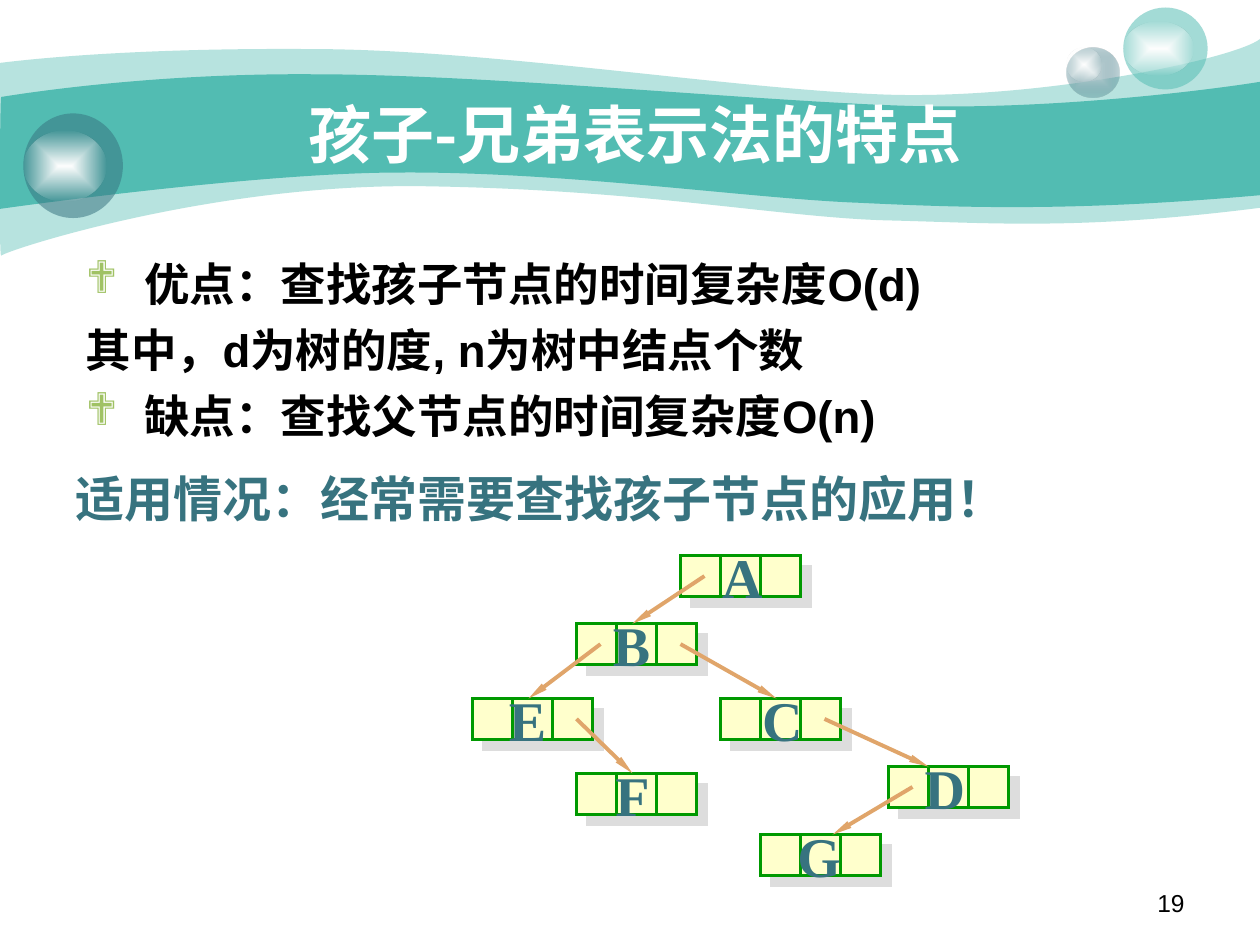
import pptx
import pptx.util
import pptx.dml.color
import pptx.enum.shapes
import pptx.enum.text
import pptx.oxml
import pptx.oxml.ns
import lxml.etree

RGBColor = pptx.dml.color.RGBColor
ALIGN = pptx.enum.text.PP_ALIGN
ANCHOR = pptx.enum.text.MSO_ANCHOR
SHAPE = pptx.enum.shapes.MSO_SHAPE
qn = pptx.oxml.ns.qn

TEAL = RGBColor(0x52, 0xBC, 0xB2)
SLATE = RGBColor(0x37, 0x73, 0x7F)
MIST = RGBColor(0xCC, 0xDB, 0xDE)
WHITE = RGBColor(0xFF, 0xFF, 0xFF)
BLACK = RGBColor(0, 0, 0)
LEAF = RGBColor(0xA0, 0xC2, 0x64)
CREAM = RGBColor(0xFF, 0xFF, 0xCC)
GREEN = RGBColor(0, 0x99, 0)
ORANGE = RGBColor(0xE0, 0xA5, 0x6A)
SHADE = RGBColor(0xDD, 0xDD, 0xDD)

WIDTH, HEIGHT = pptx.util.Inches(10), pptx.util.Inches(7.5)
CJK = "Noto Sans CJK SC"

# Tree grid: origin and size of one step
TREE_LEFT, TREE_TOP = pptx.util.Inches(3.75), pptx.util.Inches(4.41)
COLUMN, ROW = WIDTH * 0.00635, HEIGHT * 0.0072
CELL, NODE_ROWS = 5, 6
# Letter: column, row, column of the letter's centre within the node
NODES = {"A": (26, 0, 7.6), "B": (13, 10, 6.9), "E": (0, 21, 6.9),
         "C": (31, 21, 7.6), "D": (52, 31, 6.9), "F": (13, 32, 7),
         "G": (36, 41, 7)}
CHILD, SIBLING = 3, 13
# Parent, column the arrow leaves from, target, column it reaches
LINKS = [("A", CHILD, "B", 7), ("B", CHILD, "E", 7), ("D", CHILD, "G", 9),
         ("E", SIBLING, "F", 7), ("B", SIBLING, "C", 7), ("C", SIBLING, "D", 5)]

# Start point, then Bezier segments; a lone point is a straight edge.
# Unit: a thousandth of the slide's width.
PALE_WAVE = [(0, 50), (24, 47, 107, 38, 247, 39), (386, 39, 575, 70, 699, 75),
             (822, 80, 980, 47, 1000, 31), (1000, 165),
             (858, 183, 787, 177, 705, 175), (622, 173, 515, 151, 343, 148),
             (172, 144, 4, 199, 1, 203), (-1, 208, 0, 75, 0, 50)]
TEAL_WAVE = [(1, 77), (2, 77, 110, 58, 248, 59), (386, 59, 595, 80, 718, 84),
             (841, 88, 976, 69, 1000, 65), (1000, 155),
             (853, 168, 765, 165, 682, 161), (599, 158, 447, 136, 317, 137),
             (203, 137, -2, 166, -1, 166), (0, 166, 0, 77, 1, 77)]


def share(left, top, width, height):
    """Turn percentages of the slide's size into lengths."""
    return [int(size * part / 100) for size, part in
            zip((WIDTH, HEIGHT, WIDTH, HEIGHT), (left, top, width, height))]


def tree_point(column, row):
    return int(TREE_LEFT + column * COLUMN), int(TREE_TOP + row * ROW)


def append_xml(parent, tag, content="", **attributes):
    head = " ".join(f'{key}="{value}"' for key, value in attributes.items())
    parent.append(pptx.oxml.parse_xml(
        f'<a:{tag} {pptx.oxml.ns.nsdecls("a")} {head}>{content}</a:{tag}>'))


def color_xml(color, alpha=100):
    return (f'<a:srgbClr val="{color}"><a:alpha val="{alpha * 1000}"/>'
            '</a:srgbClr>')


def finish(shape, color, alpha=100):
    """Give a plain fill without line or shadow."""
    shape.fill.solid()
    shape.fill.fore_color.rgb = color
    if alpha < 100:
        fill = shape._element.spPr.find(qn("a:solidFill"))
        append_xml(fill[0], "alpha", val=alpha * 1000)
    shape.line.fill.background()
    shape.shadow.inherit = False


def add_wave(slide, segments, color, alpha=100):
    """Lay straight edges through all points, then bend each three into a curve."""
    points = [segment[at:at + 2] for segment in segments
              for at in range(0, len(segment), 2)]
    builder = slide.shapes.build_freeform(*points[0], scale=WIDTH / 1000)
    builder.add_line_segments(points[1:], close=False)
    wave = builder.convert_to_shape()
    outline = next(wave._element.iter(qn("a:moveTo"))).getparent()
    edges = iter(outline.findall(qn("a:lnTo")))
    for segment in segments[1:]:
        edge = next(edges)
        if len(segment) == 6:
            curve = lxml.etree.Element(qn("a:cubicBezTo"))
            outline.replace(edge, curve)
            curve.append(edge[0])
            for _ in range(2):
                control = next(edges)
                outline.remove(control)
                curve.append(control[0])
    append_xml(outline, "close")
    finish(wave, color, alpha)


def add_ball(slide, place, color, alpha=100):
    ball = slide.shapes.add_shape(SHAPE.OVAL, *share(*place))
    finish(ball, color, alpha)
    return ball


def add_glow(slide, place, inner=WHITE, outer=WHITE, outer_alpha=0):
    """Add a ball whose colour runs from its centre to its edge."""
    properties = add_ball(slide, place, inner)._element.spPr
    plain = properties.find(qn("a:solidFill"))
    append_xml(properties, "gradFill",
               f'<a:gsLst><a:gs pos="0">{color_xml(inner)}</a:gs>'
               f'<a:gs pos="100000">{color_xml(outer, outer_alpha)}</a:gs></a:gsLst>'
               '<a:path path="rect"><a:fillToRect l="50000" t="50000" '
               'r="50000" b="50000"/></a:path>')
    properties.replace(plain, properties[-1])


def add_text(slide, place, lines, *, size, color=BLACK, font="Arial", bold=True,
             align=ALIGN.LEFT, anchor=ANCHOR.TOP, before=0, wrap=True, hanging=0):
    """Write lines; one given as (bullet, text) gets that bullet."""
    frame = slide.shapes.add_textbox(*place).text_frame
    frame.word_wrap, frame.vertical_anchor = wrap, anchor
    for index, line in enumerate(lines):
        bullet, text = line if isinstance(line, tuple) else (None, line)
        paragraph = frame.paragraphs[0] if index == 0 else frame.add_paragraph()
        paragraph.alignment, paragraph.space_before = align, pptx.util.Pt(before)
        properties = paragraph._p.get_or_add_pPr()
        if hanging:
            indent = pptx.util.Inches(hanging)
            properties.set("marL", str(indent))
            properties.set("indent", str(-indent))
        if bullet:
            append_xml(properties, "buClr", color_xml(LEAF))
            append_xml(properties, "buFont", typeface="Wingdings", charset=2)
            append_xml(properties, "buChar", char=bullet)
        run = paragraph.add_run()
        run.text = text
        run.font.size, run.font.bold = pptx.util.Pt(size), bold
        run.font.color.rgb, run.font.name = color, font
        append_xml(run._r.get_or_add_rPr(), "ea", typeface=CJK)


def add_line(slide, start, end, color, width, arrow=False):
    line = slide.shapes.add_connector(
        pptx.enum.shapes.MSO_CONNECTOR.STRAIGHT, *start, *end)
    line.line.color.rgb, line.line.width = color, pptx.util.Pt(width)
    if arrow:
        append_xml(line._element.spPr.find(qn("a:ln")), "tailEnd",
                   type="triangle", w="sm", len="lg")
    append_xml(line._element.spPr, "effectLst")


def add_node(slide, column, row):
    """Add a box of three cells: first child, data, next sibling."""
    box = slide.shapes.add_shape(SHAPE.RECTANGLE, *tree_point(column, row),
                                 int(3 * CELL * COLUMN), int(NODE_ROWS * ROW))
    finish(box, CREAM)
    box.line.color.rgb, box.line.width = GREEN, pptx.util.Pt(1.5)
    append_xml(box._element.spPr.find(qn("a:ln")), "miter", lim=800000)
    effects = box._element.spPr.find(qn("a:effectLst"))
    append_xml(effects, "outerShdw", color_xml(SHADE), blurRad=0,
               dist=pptx.util.Pt(8.5), dir=45 * 60000, algn="ctr", rotWithShape=0)
    for divider in (column + CELL, column + 2 * CELL):
        add_line(slide, tree_point(divider, row),
                 tree_point(divider, row + NODE_ROWS), GREEN, 1.5)


def add_tree(slide):
    for column, row, _ in NODES.values():
        add_node(slide, column, row)
    for parent, leave, target, reach in LINKS:
        column, row, _ = NODES[parent]
        target_column, target_row, _ = NODES[target]
        add_line(slide, tree_point(column + leave, row + NODE_ROWS / 2),
                 tree_point(target_column + reach, target_row),
                 ORANGE, 2.25, arrow=True)
    width, height = share(0, 0, 5, 8.5)[2:]
    for letter, (column, row, centre) in NODES.items():
        x, y = tree_point(column + centre, row + NODE_ROWS / 2)
        add_text(slide, (x - width // 2, y - height // 2, width, height), [letter],
                 size=32, color=SLATE, font="Times New Roman",
                 align=ALIGN.CENTER, anchor=ANCHOR.MIDDLE, wrap=False)


def add_header(slide):
    add_wave(slide, PALE_WAVE, TEAL, 41)
    add_wave(slide, TEAL_WAVE, TEAL)
    add_glow(slide, (84.65, 5, 4.2, 5.33), MIST, SLATE, 31)
    add_glow(slide, (84.65, 5, 2.8, 3.6))
    add_ball(slide, (89.15, 0.8, 6.7, 8.67), TEAL, 53)
    add_glow(slide, (89.15, 2.27, 5.6, 5.73))
    add_ball(slide, (1.85, 12, 7.9, 11.07), SLATE, 53)
    add_glow(slide, (1.85, 13.8, 6.6, 7.47))
    add_text(slide, share(10, 10, 80.8, 8.27), ["孩子-兄弟表示法的特点"], size=36,
             color=WHITE, font=CJK, align=ALIGN.CENTER, anchor=ANCHOR.MIDDLE)


def main():
    deck = pptx.Presentation()
    deck.slide_width, deck.slide_height = WIDTH, HEIGHT
    slide = deck.slides.add_slide(deck.slide_layouts[6])
    add_header(slide)
    add_text(slide, share(71.7, 93.33, 23.3, 4.67), ["19"], size=14, bold=False,
             align=ALIGN.RIGHT)
    add_text(slide, share(5.83, 26.4, 77.5, 22.4),
             [("❖", " 优点：查找孩子节点的时间复杂度O(d)"),
              "其中，d为树的度, n为树中结点个数",
              ("❖", " 缺点：查找父节点的时间复杂度O(n)")],
             size=26, before=6.5, hanging=0.38)
    add_text(slide, share(5, 48.93, 79.2, 9.07),
             ["适用情况：经常需要查找孩子节点的应用！"],
             size=28, color=SLATE, font=CJK, before=7, hanging=0.38)
    add_tree(slide)
    deck.save("out.pptx")


if __name__ == "__main__":
    main()
